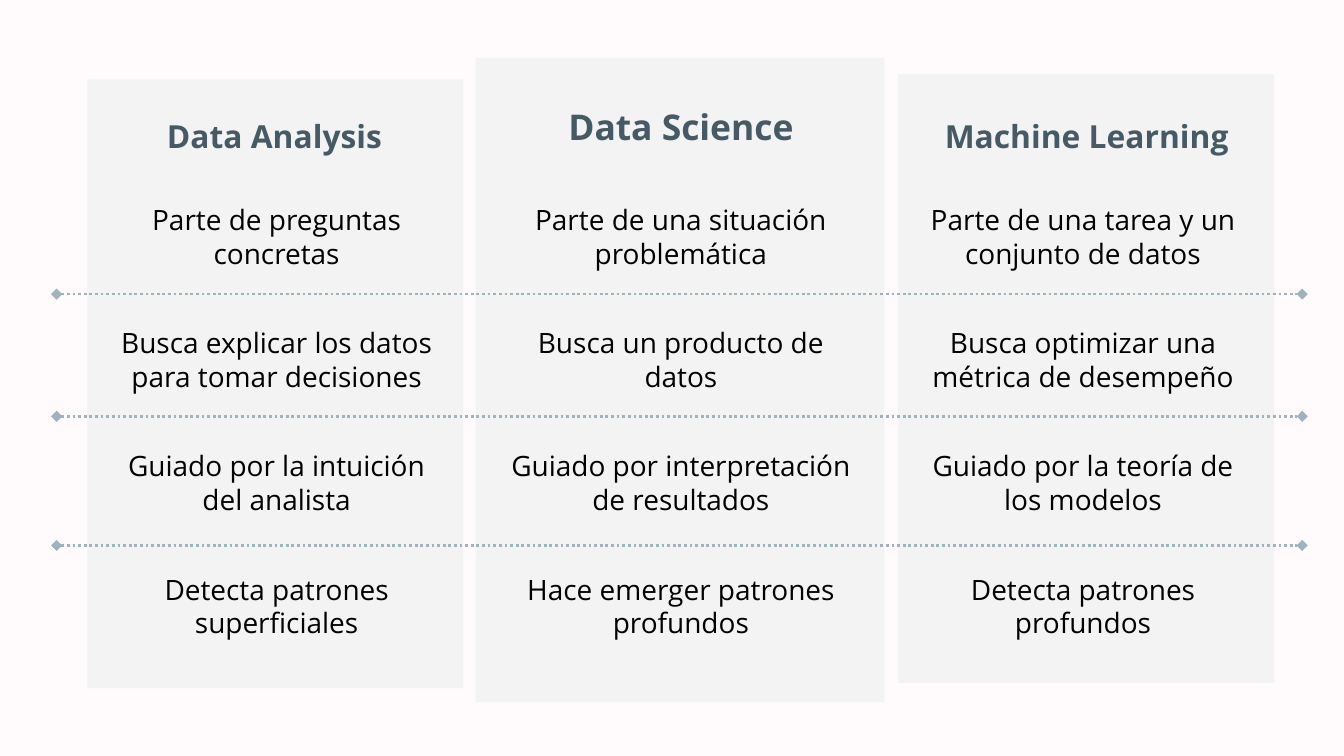
from lxml import etree
from pptx import Presentation
from pptx.dml.color import RGBColor
from pptx.enum.dml import MSO_LINE
from pptx.enum.shapes import MSO_CONNECTOR, MSO_SHAPE
from pptx.enum.text import PP_ALIGN
from pptx.oxml.ns import qn
from pptx.util import Cm, Pt

RECTANGLE = MSO_SHAPE.RECTANGLE
STRAIGHT = MSO_CONNECTOR.STRAIGHT
DOTTED = MSO_LINE.ROUND_DOT
CENTER = PP_ALIGN.CENTER

BACKGROUND = RGBColor(0xFF, 0xFB, 0xFC)
PANEL_GRAY = RGBColor(0xF3, 0xF3, 0xF3)
HEADING_BLUE = RGBColor(0x45, 0x5A, 0x64)
DIVIDER_BLUE = RGBColor(0x9F, 0xB3, 0xBC)
BLACK = RGBColor(0, 0, 0)

FONT = "Open Sans"
INSET = Cm(0.25)
ROW_GAP = Pt(30)

# Boxes are left, top, width, height in centimetres
COLUMNS = [
    {
        "panel": (1.65, 1.5, 7.11, 11.51),
        "heading": "Data Analysis",
        "heading_box": (2.18, 1.96, 6.02, 1.45),
        "heading_size": 17,
        "body_box": (2.03, 3.58, 6.4, 9.3),
        "rows": [
            "Parte de preguntas concretas",
            "Busca explicar los datos para tomar decisiones",
            "Guiado por la intuición del analista",
            "Detecta patrones superficiales",
        ],
    },
    {
        "panel": (8.99, 1.09, 7.72, 12.19),
        "heading": "Data Science",
        "heading_box": (9.86, 1.73, 6.02, 1.45),
        "heading_size": 19,
        "body_box": (9.25, 3.58, 7.24, 8.92),
        "rows": [
            "Parte de una situación problemática",
            "Busca un producto de datos",
            "Guiado por interpretación de resultados",
            "Hace emerger patrones profundos",
        ],
    },
    {
        "panel": (16.97, 1.4, 7.11, 11.51),
        "heading": "Machine Learning",
        "heading_box": (17.53, 1.96, 6.02, 1.45),
        "heading_size": 17,
        "body_box": (17.27, 3.58, 6.4, 9.3),
        "rows": [
            "Parte de una tarea y un conjunto de datos",
            "Busca optimizar una métrica de desempeño",
            "Guiado por la teoría de los modelos",
            "Detecta patrones profundos",
        ],
    },
]
DIVIDER_LEFT, DIVIDER_RIGHT = 1.07, 24.61
DIVIDER_HEIGHTS = (5.56, 7.87, 10.31)


def set_attributes(target, values):
    for name, value in values.items():
        setattr(target, name, value)


def add_panel(slide, box):
    panel = slide.shapes.add_shape(RECTANGLE, *map(Cm, box))
    panel.shadow.inherit = False
    panel.fill.solid()
    panel.fill.fore_color.rgb = PANEL_GRAY
    panel.line.fill.background()


def add_text(slide, box, lines, color, font_format):
    """Add centred paragraphs separated by the row gap."""
    text_frame = slide.shapes.add_textbox(*map(Cm, box)).text_frame
    set_attributes(text_frame, {
        "word_wrap": True,
        "margin_left": INSET,
        "margin_right": INSET,
        "margin_top": INSET,
        "margin_bottom": INSET,
    })
    text_frame.text = "\n".join(lines)
    for index, paragraph in enumerate(text_frame.paragraphs):
        paragraph.alignment = CENTER
        paragraph.space_before = ROW_GAP if index else Pt(0)
        font = paragraph.runs[0].font
        set_attributes(font, {"name": FONT, **font_format})
        font.color.rgb = color


def add_divider(slide, height):
    """Add a dotted line with a diamond at each end."""
    divider = slide.shapes.add_connector(
        STRAIGHT, Cm(DIVIDER_LEFT), Cm(height), Cm(DIVIDER_RIGHT), Cm(height))
    set_attributes(divider.line, {"width": Pt(1.5), "dash_style": DOTTED})
    divider.line.color.rgb = DIVIDER_BLUE
    line_element = divider.line._get_or_add_ln()
    for end in ("a:headEnd", "a:tailEnd"):
        etree.SubElement(line_element, qn(end), type="diamond")
    etree.SubElement(divider._element.spPr, qn("a:effectLst"))


def main():
    presentation = Presentation()
    set_attributes(presentation, {
        "slide_width": Cm(25.4), "slide_height": Cm(14.29)})

    # The slide has no title, so it uses the blank layout
    slide = presentation.slides.add_slide(presentation.slide_layouts[6])
    slide.background.fill.solid()
    slide.background.fill.fore_color.rgb = BACKGROUND

    # Columns: panel, heading and one paragraph per row
    for column in COLUMNS:
        add_panel(slide, column["panel"])
        add_text(slide, column["heading_box"], [column["heading"]], HEADING_BLUE,
                 {"size": Pt(column["heading_size"]), "bold": True})
        add_text(slide, column["body_box"], column["rows"], BLACK,
                 {"size": Pt(15)})

    # Dividers between the rows
    for height in DIVIDER_HEIGHTS:
        add_divider(slide, height)

    presentation.save("out.pptx")


if __name__ == "__main__":
    main()
